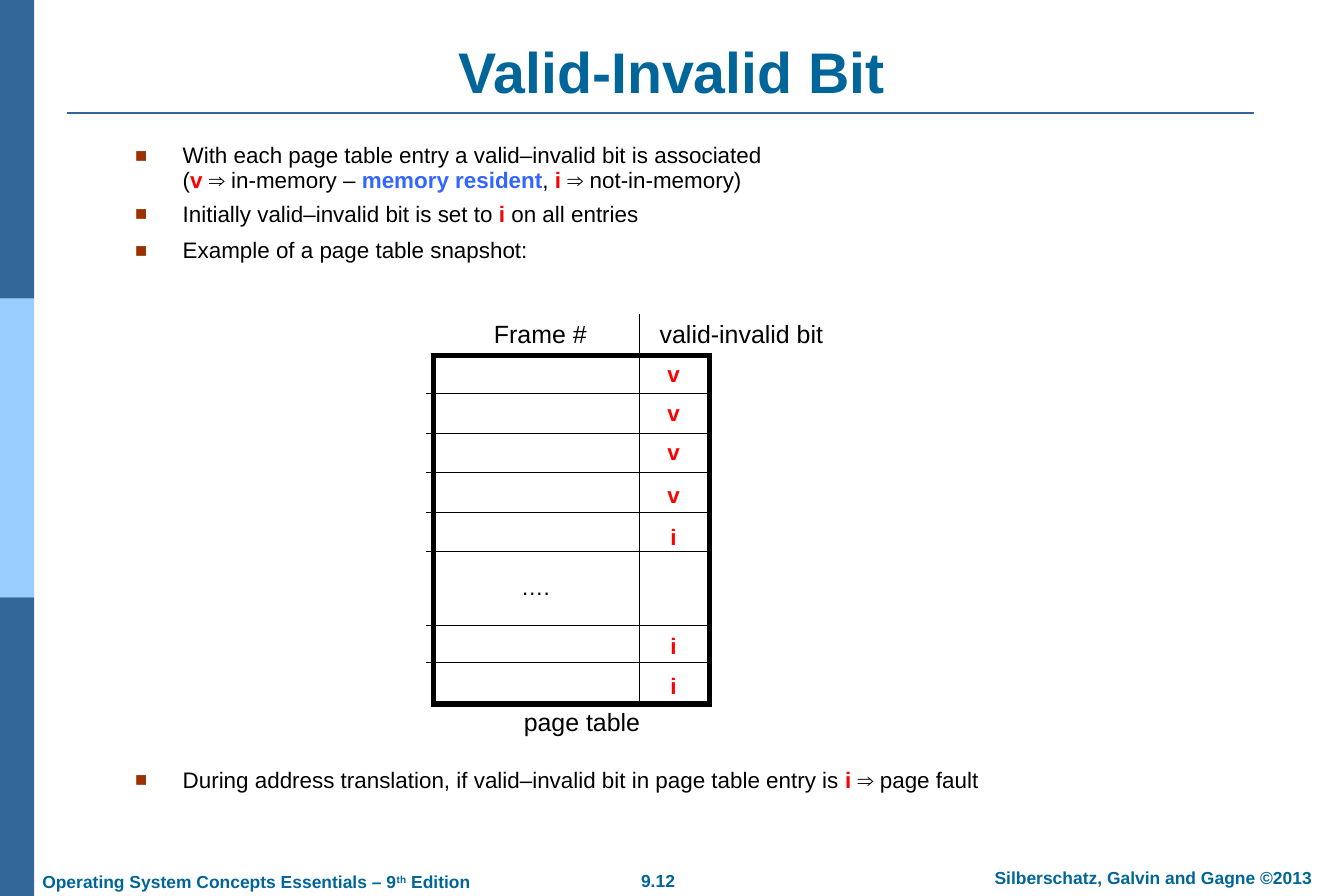
from dataclasses import dataclass, field
from typing import Any

from lxml import etree
from pptx import Presentation
from pptx.dml.color import RGBColor
from pptx.enum.shapes import MSO_CONNECTOR, MSO_SHAPE
from pptx.enum.text import MSO_ANCHOR, PP_ALIGN
from pptx.oxml.ns import qn
from pptx.slide import Slide
from pptx.text.text import TextFrame
from pptx.util import Cm, Pt

STRAIGHT = MSO_CONNECTOR.STRAIGHT
RECTANGLE = MSO_SHAPE.RECTANGLE
TOP, MIDDLE, BOTTOM = MSO_ANCHOR.TOP, MSO_ANCHOR.MIDDLE, MSO_ANCHOR.BOTTOM
LEFT, CENTER = PP_ALIGN.LEFT, PP_ALIGN.CENTER


@dataclass(frozen=True)
class Theme:
    font: str = "Arial"
    heading: str = "006699"
    dark_bar: str = "336699"
    light_bar: str = "99CCFF"
    bullet: str = "993300"
    bit: str = "FF0000"
    term: str = "3366FF"
    ink: str = "000000"
    paper: str = "FFFFFF"
    title_size: int = 46
    label_size: int = 20
    body_size: int = 18
    footer_size: int = 14


THEME = Theme()


@dataclass(frozen=True)
class Span:
    text: str
    color: str = THEME.ink
    size: int = THEME.body_size
    bold: bool = False
    baseline: int = 0


@dataclass(frozen=True)
class Bullet:
    lines: list[list[Span]]
    space_before: float


@dataclass(frozen=True)
class Label:
    spans: list[Span]
    left: float
    top: float
    width: float
    height: float
    anchor: Any = MIDDLE
    align: Any = CENTER


@dataclass(frozen=True)
class Rule:
    start: tuple[float, float]
    end: tuple[float, float]
    color: str = THEME.ink
    weight: float = 0.75


@dataclass(frozen=True)
class Block:
    left: float
    top: float
    width: float
    height: float
    fill: str
    outline: dict[str, Any] = field(default_factory=dict)


def bit(letter: str) -> Span:
    return Span(letter, THEME.bit, bold=True)


def footer(text: str, baseline: int = 0) -> Span:
    return Span(text, THEME.heading, THEME.footer_size, True, baseline)


PAGE_WIDTH, PAGE_HEIGHT = 38.1, 25.4
BAR_WIDTH, BAR_HEIGHT = 0.97, PAGE_HEIGHT / 3
BAR_COLORS = [THEME.dark_bar, THEME.light_bar, THEME.dark_bar]
BARS = [Block(0, index * BAR_HEIGHT, BAR_WIDTH, BAR_HEIGHT, color)
        for index, color in enumerate(BAR_COLORS)]
PAGE_TABLE = Block(12.29, 10.08, 7.82, 9.88, THEME.paper,
                   {"color": THEME.ink, "width": Pt(4.5)})

FIRST_ROW, ROW_PITCH = 11.16, 1.12
ROW_LINES = [FIRST_ROW + index * ROW_PITCH for index in range(5)] + [17.73, 18.77]
TITLE_RULE = Rule((1.9, 3.2), (35.56, 3.2), THEME.dark_bar, 1.5)
TABLE_RULES = [Rule((12.09, y), (20.04, y)) for y in ROW_LINES]
TABLE_RULES.append(Rule((18.14, 8.89), (18.14, 19.89)))

BIT_TOPS = [10.03, 11.13, 12.24, 13.46, 14.66, 17.75, 18.87]
BIT_LABELS = [Label([bit(letter)], 18.55, top, 1.09, 1.12)
              for letter, top in zip("vvvviii", BIT_TOPS)]
LABELS = [
    Label([footer("9.12")], 16.89, 24.49, 3.53, 0.97, TOP),
    Label([footer("Silberschatz, Galvin and Gagne ©2013")], 27.3, 24.41, 10.8, 0.97, TOP),
    Label([footer("Operating System Concepts Essentials – 9"), footer("th", 30000),
           footer(" Edition")], 0.84, 24.51, 15, 0.97, TOP, LEFT),
    Label([Span("Valid-Invalid Bit", THEME.heading, THEME.title_size, True)],
          1.9, 1.02, 34.29, 2.13, BOTTOM),
    *BIT_LABELS,
    Label([Span("….")], 14.18, 16.08, 2, 1.12),
    Label([Span("Frame #", size=THEME.label_size)], 12.82, 8.84, 5, 1.22),
    Label([Span("valid-invalid bit", size=THEME.label_size)], 18.02, 8.84, 6, 1.22),
    Label([Span("page table", size=THEME.label_size)], 14, 19.84, 5, 1.22),
]

BULLETS = [
    Bullet([[Span("With each page table entry a valid–invalid bit is associated")],
            [Span("("), bit("v "), Span("⇒ in-memory – "),
             Span("memory resident", THEME.term, bold=True), Span(", "),
             bit("i "), Span("⇒ not-in-memory)")]], 0),
    Bullet([[Span("Initially valid–invalid bit is set to"), bit(" i "),
             Span("on all entries")]], 7.9),
    Bullet([[Span("Example of a page table snapshot:")]], 10),
    Bullet([[Span("During address translation, if valid–invalid bit in page table entry is"),
             bit(" i "), Span("⇒ page fault")]], 406),
]


def apply_format(target: Any, values: dict[str, Any]) -> None:
    for name, value in values.items():
        setattr(target, name, value)


def add_span(para: Any, span: Span) -> None:
    run = para.add_run()
    run.text = span.text
    apply_format(run.font, {"name": THEME.font, "size": Pt(span.size), "bold": span.bold})
    run.font.color.rgb = RGBColor.from_string(span.color)
    if span.baseline:
        run.font._element.set("baseline", str(span.baseline))


def add_frame(page: Slide, left: float, top: float, width: float, height: float,
              anchor: Any, wrap: bool) -> TextFrame:
    box = page.shapes.add_textbox(Cm(left), Cm(top), Cm(width), Cm(height))
    apply_format(box.text_frame, {
        "margin_left": Cm(0.36), "margin_right": Cm(0.36),
        "margin_top": Cm(0.18), "margin_bottom": Cm(0.18),
        "vertical_anchor": anchor, "word_wrap": wrap})
    return box.text_frame


def add_label(page: Slide, label: Label) -> None:
    frame = add_frame(page, label.left, label.top, label.width, label.height,
                      label.anchor, True)
    para = frame.paragraphs[0]
    para.alignment = label.align
    for span in label.spans:
        add_span(para, span)


def add_bullet_mark(para: Any) -> None:
    properties = para._p.get_or_add_pPr()
    properties.set("marL", str(Cm(1.35)))
    properties.set("indent", str(-Cm(1.35)))
    color = etree.SubElement(properties, qn("a:buClr"))
    etree.SubElement(color, qn("a:srgbClr"), val=THEME.bullet)
    etree.SubElement(properties, qn("a:buSzPct"), val="90000")
    etree.SubElement(properties, qn("a:buFont"), typeface=THEME.font)
    etree.SubElement(properties, qn("a:buChar"), char="■")


def add_bullets(page: Slide, bullets: list[Bullet]) -> None:
    frame = add_frame(page, 3.47, 3.92, 32.41, 20.27, TOP, True)
    for index, bullet in enumerate(bullets):
        para = frame.add_paragraph() if index else frame.paragraphs[0]
        add_bullet_mark(para)
        apply_format(para, {"line_spacing": 0.9, "space_before": Pt(bullet.space_before)})
        for number, line in enumerate(bullet.lines):
            if number:
                para.add_line_break()
            for span in line:
                add_span(para, span)


def add_block(page: Slide, block: Block) -> None:
    shape = page.shapes.add_shape(RECTANGLE, Cm(block.left), Cm(block.top),
                                  Cm(block.width), Cm(block.height))
    shape.shadow.inherit = False
    shape.fill.solid()
    shape.fill.fore_color.rgb = RGBColor.from_string(block.fill)
    if block.outline:
        shape.line.color.rgb = RGBColor.from_string(block.outline["color"])
        shape.line.width = block.outline["width"]
        etree.SubElement(shape._element.spPr.find(qn("a:ln")), qn("a:miter"), lim="800000")
    else:
        shape.line.fill.background()


def add_rule(page: Slide, rule: Rule) -> None:
    points = [Cm(value) for value in (*rule.start, *rule.end)]
    line = page.shapes.add_connector(STRAIGHT, *points)
    line.line.color.rgb = RGBColor.from_string(rule.color)
    line.line.width = Pt(rule.weight)
    etree.SubElement(line._element.spPr, qn("a:effectLst"))


def main() -> None:
    deck = Presentation()
    apply_format(deck, {"slide_width": Cm(PAGE_WIDTH), "slide_height": Cm(PAGE_HEIGHT)})
    page = deck.slides.add_slide(deck.slide_layouts[6])
    for bar in BARS:
        add_block(page, bar)
    add_rule(page, TITLE_RULE)
    add_bullets(page, BULLETS)
    add_block(page, PAGE_TABLE)
    for rule in TABLE_RULES:
        add_rule(page, rule)
    for label in LABELS:
        add_label(page, label)
    deck.save("out.pptx")


if __name__ == "__main__":
    main()
